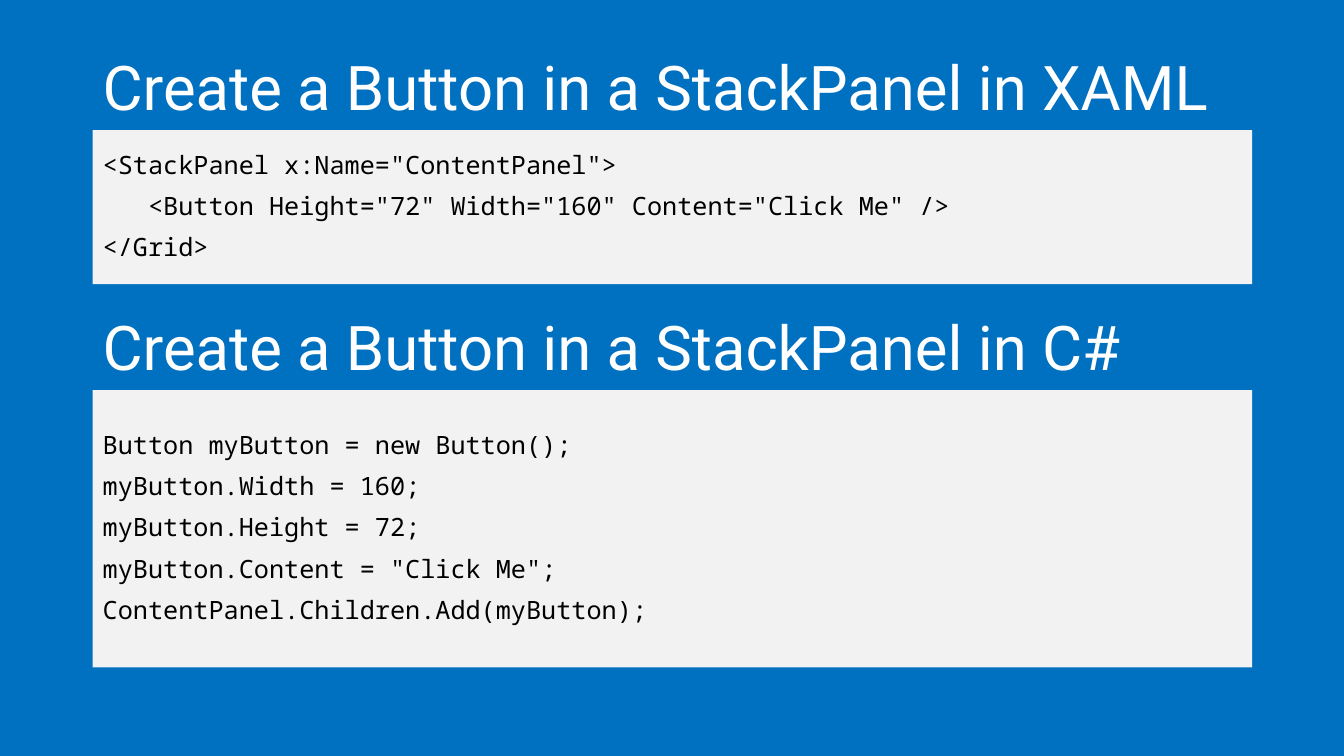
"""Build a slide that makes a button in XAML and in C#."""
from dataclasses import dataclass

from pptx import Presentation as Deck
from pptx.dml.color import RGBColor
from pptx.enum.shapes import MSO_SHAPE as Kind
from pptx.enum.text import MSO_ANCHOR as Anchor, PP_ALIGN as Align
from pptx.shapes.autoshape import Shape
from pptx.slide import Slide
from pptx.util import Inches, Pt

BLUE = RGBColor(0x00, 0x70, 0xC0)
GRAY = RGBColor(0xF2, 0xF2, 0xF2)
WHITE = RGBColor(0xFF, 0xFF, 0xFF)
BLACK = RGBColor(0x00, 0x00, 0x00)

LEFT, WIDTH, HEAD = 0.92, 11.5, 0.79


@dataclass(frozen=True)
class Sample:
    title: str
    code: str
    top: float
    height: float


SAMPLES = [
    Sample(
        "Create a Button in a StackPanel in XAML",
        """<StackPanel x:Name="ContentPanel">
   <Button Height="72" Width="160" Content="Click Me" />
</Grid>""",
        0.5, 1.53,
    ),
    Sample(
        "Create a Button in a StackPanel in C#",
        """Button myButton = new Button();
myButton.Width = 160;
myButton.Height = 72;
myButton.Content = "Click Me";
ContentPanel.Children.Add(myButton);""",
        3.08, 2.75,
    ),
]


def write(shape: Shape, text: str, *, font: str, size: float,
          color: RGBColor, gap: float = 0) -> None:
    frame = shape.text_frame
    frame.word_wrap = True
    frame.vertical_anchor = Anchor.MIDDLE
    frame.text = text
    for row, para in enumerate(frame.paragraphs):
        para.alignment = Align.LEFT
        para.line_spacing = 0.9
        para.space_before = Pt(gap if row else 0)
        para.font.name = font
        para.font.size = Pt(size)
        para.font.color.rgb = color


def draw(slide: Slide, item: Sample) -> None:
    title = slide.shapes.add_textbox(
        Inches(LEFT), Inches(item.top), Inches(WIDTH), Inches(HEAD))
    write(title, item.title, font="Roboto", size=44, color=WHITE)
    panel = slide.shapes.add_shape(
        Kind.RECTANGLE, Inches(LEFT), Inches(item.top + HEAD),
        Inches(WIDTH), Inches(item.height))
    panel.shadow.inherit = False
    panel.fill.solid()
    panel.fill.fore_color.rgb = GRAY
    panel.line.fill.background()
    write(panel, item.code, font="Noto Sans Mono", size=18,
          color=BLACK, gap=10)


def main() -> None:
    deck = Deck()
    deck.slide_width, deck.slide_height = Inches(13.33), Inches(7.5)
    slide = deck.slides.add_slide(deck.slide_layouts[6])
    slide.background.fill.solid()
    slide.background.fill.fore_color.rgb = BLUE
    for item in SAMPLES:
        draw(slide, item)
    deck.save("out.pptx")


if __name__ == "__main__":
    main()
